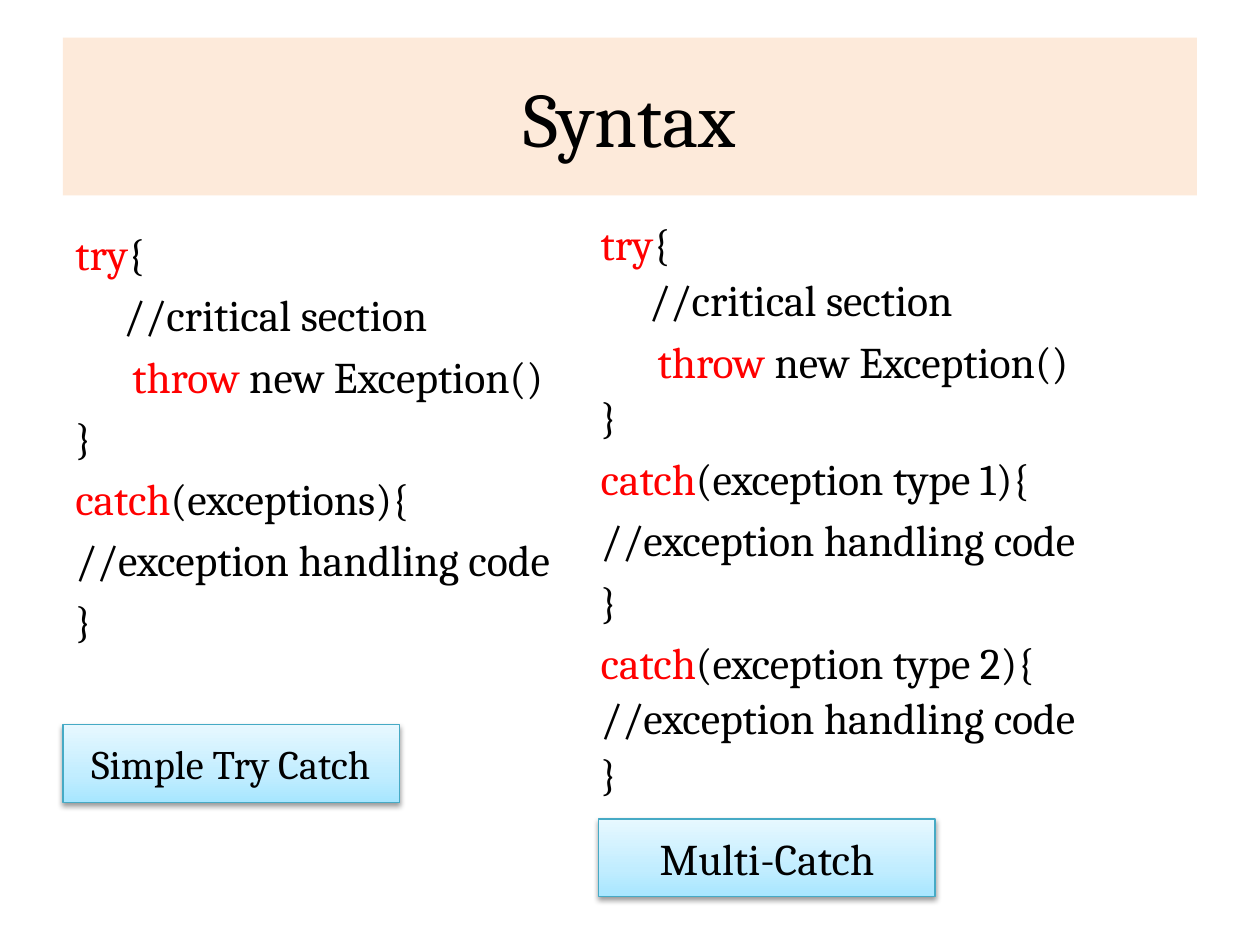
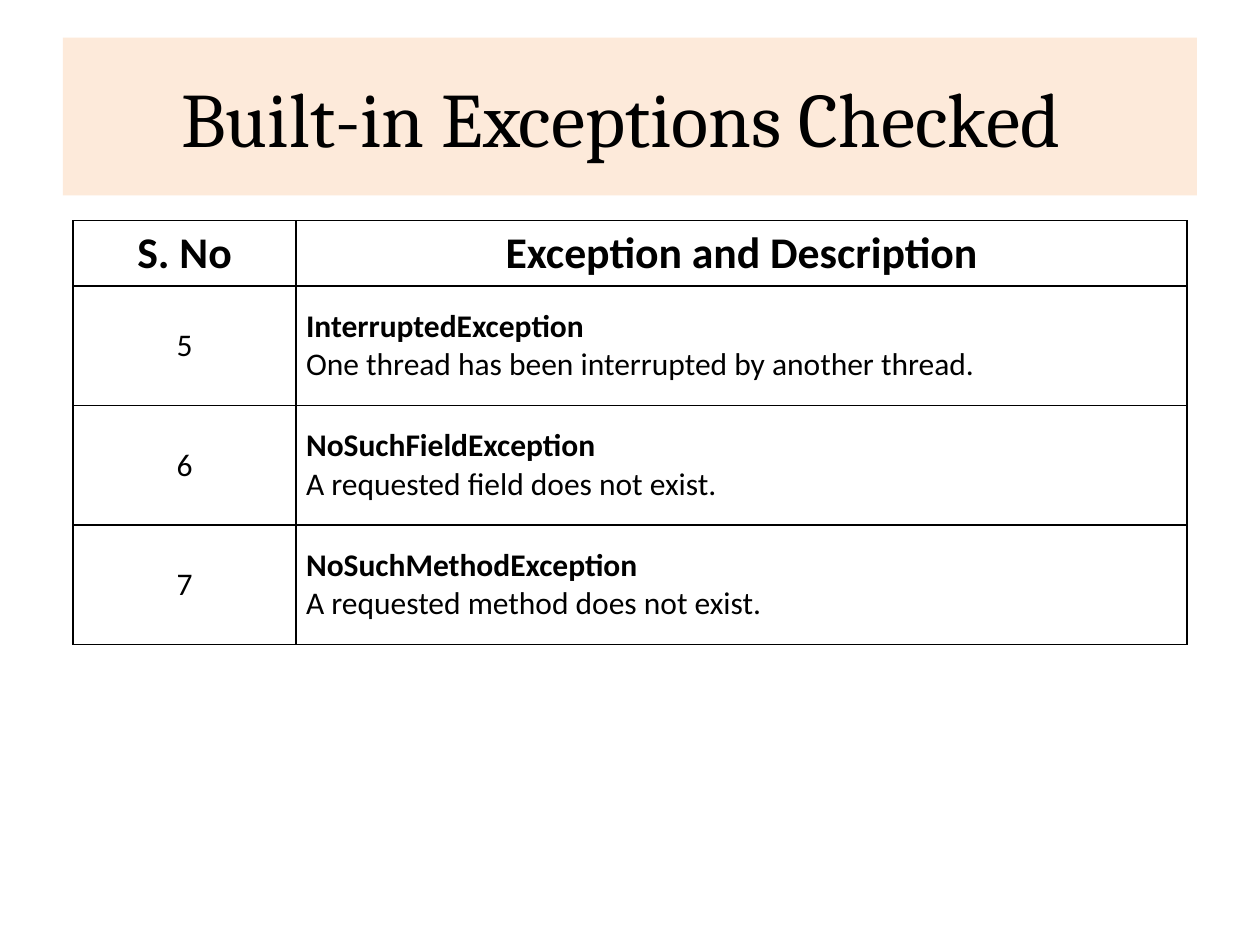
"""Build two slides on exception handling: try/catch syntax and a table of checked exceptions."""
from lxml.etree import SubElement
from pptx import Presentation
from pptx.dml.color import RGBColor
from pptx.enum.shapes import MSO_SHAPE as Shape
from pptx.enum.text import MSO_ANCHOR as Anchor, PP_ALIGN as Align
from pptx.oxml import parse_xml
from pptx.oxml.ns import nsdecls, qn
from pptx.util import Cm, Pt

COLOURS = {
    "band": "FDEADA", "text": "000000", "keyword": "FF0000", "edge": "46AAC5",
    "deep": "A7E6FF", "middle": "C1EDFF", "light": "E7F8FF",
}
SERIF, SANS = "Cambria", "Calibri"


def write(para, spans, align, **font):
    """Fill a paragraph with (text, colour name) spans sharing one font."""
    para.alignment = align
    for text, colour in spans:
        span = para.add_run()
        span.text = text
        span.font.color.rgb = RGBColor.from_string(COLOURS[colour])
        for name, value in font.items():
            setattr(span.font, name, value)


def add_box(page, left, top, width, height, text, size):
    """Add a rectangle with centred serif text."""
    box = page.shapes.add_shape(Shape.RECTANGLE, Cm(left), Cm(top), Cm(width), Cm(height))
    box.shadow.inherit = False
    box.text_frame.word_wrap = True
    box.text_frame.vertical_anchor = Anchor.MIDDLE
    write(box.text_frame.paragraphs[0], [(text, "text")], Align.CENTER, name=SERIF, size=Pt(size))
    return box


deck = Presentation()
deck.slide_width, deck.slide_height = Cm(25.4), Cm(19.05)

pages = []
for title in ("Syntax", "Built-in Exceptions Checked "):
    page = deck.slides.add_slide(deck.slide_layouts[6])
    band = add_box(page, 1.27, 0.76, 22.86, 3.18, title, 44)
    band.fill.solid()
    band.fill.fore_color.rgb = RGBColor.from_string(COLOURS["band"])
    band.line.fill.background()
    pages.append(page)
syntax_page, table_page = pages

HANG, TAB, THROW_TAB = 0.97, 0.97, 1.15
simple_code = [
    (0, "try", "{", 1),
    (TAB, "", "//critical section", 1),
    (THROW_TAB, "throw", " new Exception()", 1),
    (0, "", "}", 1),
    (0, "catch", "(exceptions){", 1),
    (0, "", "//exception handling code", 1),
    (0, "", "}", 1),
]
multi_code = [
    (0, "try", "{", 0.9),
    (TAB, "", "//critical section", 0.9),
    (THROW_TAB, "throw", " new Exception()", 1),
    (0, "", "}", 0.9),
    (0, "catch", "(exception type 1){", 1),
    (0, "", "//exception handling code", 1),
    (0, "", "}", 1),
    (0, "catch", "(exception type 2){", 1),
    (0, "", "//exception handling code", 0.9),
    (0, "", "}", 0.9),
]
for left, top, code in ((1.27, 4.45, simple_code), (11.86, 4.37, multi_code)):
    frame = syntax_page.shapes.add_textbox(Cm(left), Cm(top), Cm(13.13), Cm(12.57)).text_frame
    frame.word_wrap = True
    for number, (indent, keyword, rest, spacing) in enumerate(code):
        para = frame.add_paragraph() if number else frame.paragraphs[0]
        spans = [(keyword, "keyword"), (rest, "text")] if keyword else [(rest, "text")]
        write(para, spans, Align.LEFT, name=SERIF, size=Pt(25))
        para.line_spacing = spacing
        para.space_before = Pt(5)
        properties = para._p.get_or_add_pPr()
        before = properties.find(qn("a:spcBef"))
        before.remove(before[0])
        SubElement(before, qn("a:spcPct")).set("val", "20000")
        properties.set("marL", str(Cm(indent or HANG)))
        properties.set("indent", str(0 if indent else -Cm(HANG)))

stops = "".join(
    f'<a:gs pos="{place}"><a:srgbClr val="{COLOURS[name]}"/></a:gs>'
    for place, name in ((0, "deep"), (35000, "middle"), (100000, "light"))
)
gradient = (
    f'<a:gradFill {nsdecls("a")} rotWithShape="1"><a:gsLst>{stops}</a:gsLst>'
    '<a:lin ang="16200000" scaled="0"/></a:gradFill>'
)
shadow = (
    f'<a:outerShdw {nsdecls("a")} blurRad="40000" dist="20000" dir="5400000" rotWithShape="0">'
    f'<a:srgbClr val="{COLOURS["text"]}"><a:alpha val="38000"/></a:srgbClr></a:outerShdw>'
)
for left, top, text, size in ((1.27, 14.61, "Simple Try Catch", 23.1), (12.07, 16.51, "Multi-Catch", 25)):
    label = add_box(syntax_page, left, top, 6.78, 1.57, text, size)
    label.line.color.rgb = RGBColor.from_string(COLOURS["edge"])
    label.line.width = Pt(0.75)
    properties = label._element.spPr
    properties.find(qn("a:prstGeom")).addnext(parse_xml(gradient))
    properties.find(qn("a:effectLst")).append(parse_xml(shadow))

rows = [
    ("S. No", ["Exception and Description"]),
    ("5", ["InterruptedException", "One thread has been interrupted by another thread."]),
    ("6", ["NoSuchFieldException", "A requested field does not exist."]),
    ("7", ["NoSuchMethodException", "A requested method does not exist."]),
]
widths, heights = (4.5, 17.96), (1.27, 2.41, 2.41, 2.41)
table = table_page.shapes.add_table(
    len(rows), 2, Cm(1.47), Cm(4.45), Cm(sum(widths)), Cm(sum(heights))
).table
table.first_row = table.horz_banding = False
for column, width in zip(table.columns, widths):
    column.width = Cm(width)
for row, height in zip(table.rows, heights):
    row.height = Cm(height)

for row_number, (serial, description) in enumerate(rows):
    header = row_number == 0
    for column_number, lines in enumerate(([serial], description)):
        cell = table.cell(row_number, column_number)
        cell.vertical_anchor = Anchor.MIDDLE
        if not header:
            for side in ("left", "right", "top", "bottom"):
                setattr(cell, f"margin_{side}", Cm(0.2))
        align = Align.CENTER if header or column_number == 0 else Align.JUSTIFY
        for number, line in enumerate(lines):
            para = cell.text_frame.add_paragraph() if number else cell.text_frame.paragraphs[0]
            bold = header or (column_number == 1 and number == 0)
            write(para, [(line, "text")], align, name=SANS, size=Pt(25 if header else 18), bold=bold)
        properties = cell._tc.get_or_add_tcPr()
        for side in ("lnL", "lnR", "lnT", "lnB"):
            border = SubElement(properties, qn(f"a:{side}"), w=str(Pt(1)))
            SubElement(SubElement(border, qn("a:solidFill")), qn("a:srgbClr"), val=COLOURS["text"])
        cell.fill.background()

deck.save("out.pptx")
